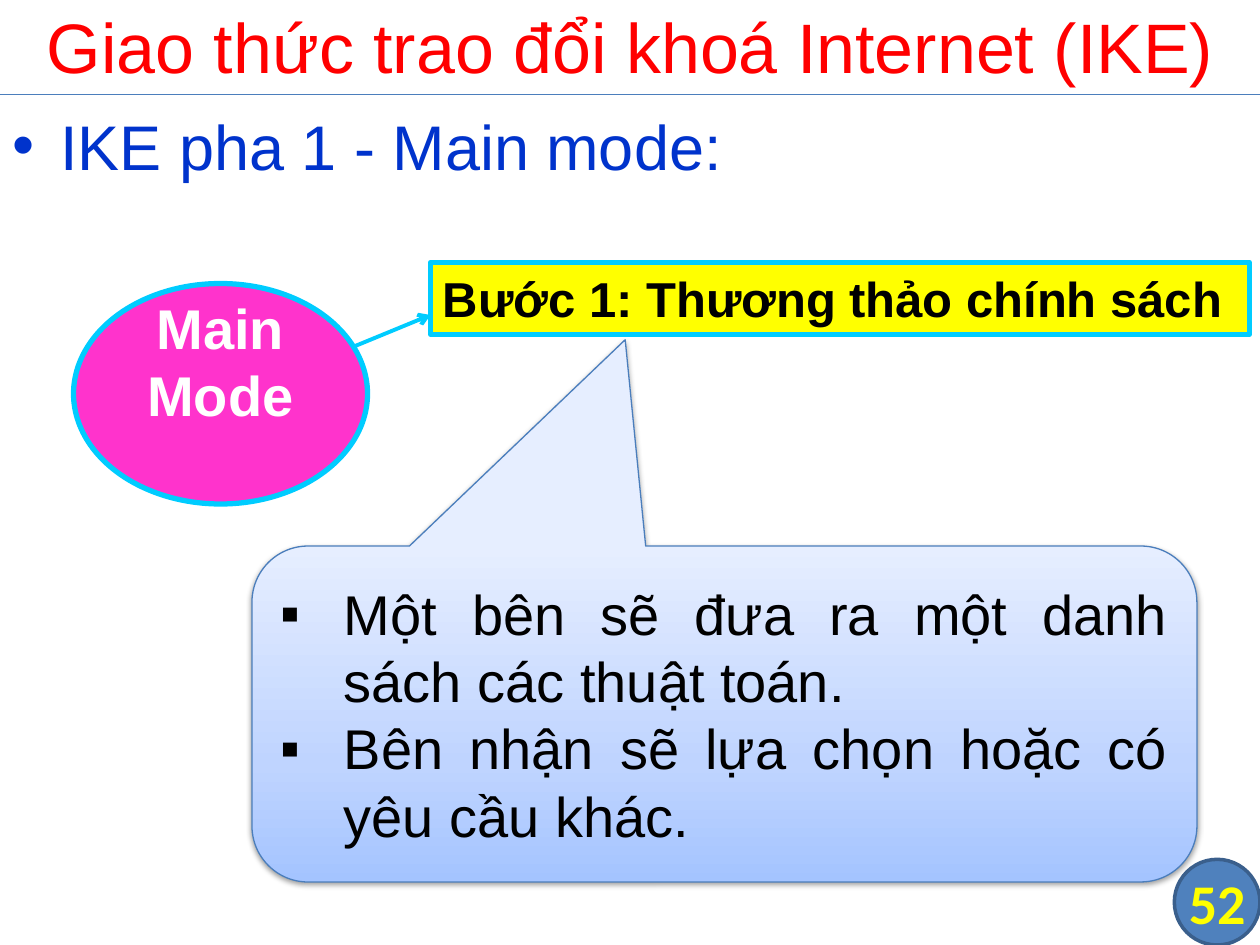
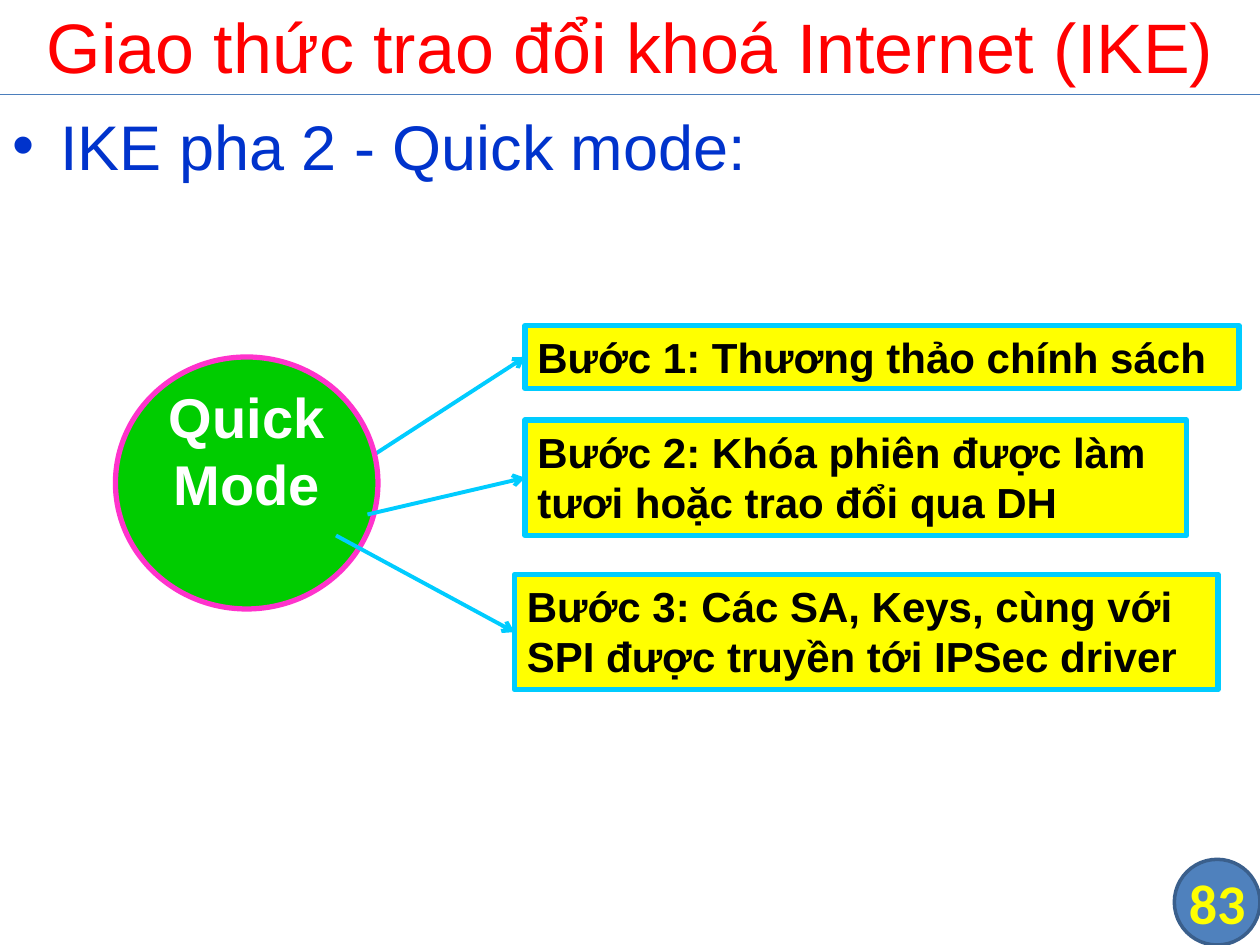
import collections
import copy

import pptx
import pptx.dml.color
import pptx.enum.shapes
import pptx.enum.text
import pptx.oxml
import pptx.oxml.ns
import pptx.util

SHAPE = pptx.enum.shapes.MSO_SHAPE
ANCHOR = pptx.enum.text.MSO_ANCHOR
ALIGN = pptx.enum.text.PP_ALIGN
Box = collections.namedtuple("Box", "left top width height")

COLUMNS, ROWS = 120, 90
CELL = pptx.util.Inches(10) // COLUMNS
PAGE_BOX = Box(0, 0, COLUMNS, ROWS)
HEADER_ROWS = 9

RED, BLUE, YELLOW, CYAN = "FF0000", "0033CC", "FFFF00", "00CCFF"
PINK, GREEN, WHITE, BLACK = "FF33CC", "00CC00", "FFFFFF", "000000"
BADGE_FILL, BADGE_LINE, THIN_LINE = "4F81BD", "3A5F8C", "4B7EBC"
CALLOUT_STOPS = [(0, "A4C4FF"), (0.35, "BFD4FF"), (1, "E6EEFF")]
TITLE = "Giao thức trao đổi khoá Internet (IKE)"


def color(value):
    return pptx.dml.color.RGBColor.from_string(value)


def cells(*counts):
    """Turn counts of grid cells into lengths."""
    return [round(count * CELL) for count in counts]


def within(area, left, top, width=0, height=0):
    return Box(area.left + left, area.top + top, width, height)


def add_element(parent, tag, xml_body="", **attributes):
    """Append a DrawingML element, with optional inner XML."""
    namespace = pptx.oxml.ns.nsdecls("a")
    settings = " ".join(f'{name}="{value}"' for name, value in attributes.items())
    element = pptx.oxml.parse_xml(f"<a:{tag} {namespace} {settings}>{xml_body}</a:{tag}>")
    parent.append(element)
    return element


def write(shape, *texts, size, fill, font="Arial", bold=False, align=ALIGN.LEFT,
          anchor=ANCHOR.TOP, bullet=None, indent=0.0, margins=(0.1, 0.05, 0.1, 0.05)):
    """Fill a shape with one paragraph per text; lengths are in inches."""
    frame = shape.text_frame
    frame.word_wrap = True
    frame.auto_size = pptx.enum.text.MSO_AUTO_SIZE.NONE
    frame.vertical_anchor = anchor
    (frame.margin_left, frame.margin_top,
     frame.margin_right, frame.margin_bottom) = map(pptx.util.Inches, margins)
    for index, text in enumerate(texts):
        para = frame.add_paragraph() if index else frame.paragraphs[0]
        para.alignment = align
        if bullet:
            settings = para._p.get_or_add_pPr()
            settings.set("marL", str(pptx.util.Inches(indent)))
            settings.set("indent", str(-pptx.util.Inches(indent)))
            add_element(settings, "buFont", typeface="Arial")
            add_element(settings, "buChar", char=bullet)
        span = para.add_run()
        span.text = text
        span.font.name, span.font.size = font, pptx.util.Pt(size)
        span.font.bold = bold
        span.font.color.rgb = color(fill)


def add_text(page, box, text, **text_format):
    write(page.shapes.add_textbox(*cells(*box)), text, **text_format)


def add_block(page, kind, box, fill, line, line_width):
    shape = page.shapes.add_shape(kind, *cells(*box))
    shape.fill.solid()
    shape.fill.fore_color.rgb = color(fill)
    shape.line.color.rgb = color(line)
    shape.line.width = pptx.util.Pt(line_width)
    shape.shadow.inherit = False
    return shape


def add_line(page, start, end, line, width, arrow=False):
    connector = page.shapes.add_connector(
        pptx.enum.shapes.MSO_CONNECTOR.STRAIGHT, *cells(*start[:2], *end[:2]))
    connector.line.color.rgb = color(line)
    connector.line.width = pptx.util.Pt(width)
    if arrow:
        add_element(connector.line._get_or_add_ln(), "tailEnd", type="arrow")
    add_element(connector._element.spPr, "effectLst")
    return connector


def add_arrow(page, start, end):
    return add_line(page, start, end, CYAN, 2.25, arrow=True)


def add_arrow_to(page, start, step):
    """Draw an arrow joined to the left side of a step."""
    add_arrow(page, start, start).end_connect(step, 1)


def add_step(page, box, text, size):
    step = add_block(page, SHAPE.RECTANGLE, box, YELLOW, CYAN, 3)
    write(step, text, size=size, fill=BLACK, bold=True)
    return step


def add_hub(page, box, text, fill, line):
    hub = add_block(page, SHAPE.OVAL, box, fill, line, 3)
    write(hub, text, size=32, fill=WHITE, bold=True, align=ALIGN.CENTER,
          anchor=ANCHOR.MIDDLE, margins=(0.1, 0.05, 0.1, 0.58))


def add_callout(page, box, *texts):
    callout = add_block(page, SHAPE.ROUNDED_RECTANGULAR_CALLOUT, box, WHITE, THIN_LINE, 0.75)
    for index, share in enumerate((-0.105, -1.114, 0.167)):
        callout.adjustments[index] = share
    callout.fill.gradient()
    callout.fill.gradient_angle = 90
    stop_list = callout._element.spPr.find(".//" + pptx.oxml.ns.qn("a:gsLst"))
    stop_list.append(copy.deepcopy(stop_list[-1]))
    for stop, (position, value) in zip(callout.fill.gradient_stops, CALLOUT_STOPS):
        stop.position = position
        stop.color.rgb = color(value)
    effects = callout._element.spPr.find(pptx.oxml.ns.qn("a:effectLst"))
    add_element(effects, "outerShdw",
                f'<a:srgbClr val="{BLACK}"><a:alpha val="38000"/></a:srgbClr>',
                blurRad=pptx.util.Pt(3.1), dist=pptx.util.Pt(1.6), dir=5400000, rotWithShape=0)
    write(callout, *texts, size=32, fill=BLACK, align=ALIGN.JUSTIFY,
          anchor=ANCHOR.MIDDLE, bullet="▪", indent=0.5)


def add_badge(page, box, number):
    add_block(page, SHAPE.FLOWCHART_CONNECTOR, box, BADGE_FILL, BADGE_LINE, 2)
    add_text(page, box, number, size=32, fill=YELLOW, font="Calibri", bold=True,
             align=ALIGN.CENTER, anchor=ANCHOR.MIDDLE, margins=(0, 0, 0, 0))


def add_page(deck, box, heading, number):
    """Add a slide with the shared title, rule, heading and number badge."""
    page = deck.slides.add_slide(deck.slide_layouts[5])
    title = page.shapes.title
    title.left, title.top, title.width, title.height = cells(
        *within(box, 0, -0.36, box.width, HEADER_ROWS + 0.36))
    write(title, TITLE, size=40, fill=RED, align=ALIGN.CENTER, anchor=ANCHOR.MIDDLE)
    add_line(page, within(box, 0, HEADER_ROWS), within(box, box.width, HEADER_ROWS),
             THIN_LINE, 0.75)
    add_text(page, within(box, 0, HEADER_ROWS, box.width, box.height - HEADER_ROWS), heading,
             size=36, fill=BLUE, bullet="•", indent=0.38, margins=(0.1, 0.1, 0.1, 0.05))
    side = 8.16
    add_badge(page, within(box, box.width - side, box.height - side, side, side), number)
    return page


def draw_main_mode(page, area):
    add_arrow(page, within(area, 17, 12), within(area, 34, 5))
    add_step(page, within(area, 34, 0, 78, 6.84), "Bước 1: Thương thảo chính sách", 28)
    add_hub(page, within(area, 0, 2, 28, 21), "Main Mode", PINK, CYAN)
    add_callout(page, within(area, 17, 27, 90, 32),
                "Một bên sẽ đưa ra một danh sách các thuật toán.",
                "Bên nhận sẽ lựa chọn hoặc có yêu cầu khác.")


def draw_quick_mode(page, area):
    policy, session_key, driver = [
        add_step(page, within(area, *place), text, 24) for place, text in (
            ((39, 0, 68, 6), "Bước 1: Thương thảo chính sách"),
            ((39, 9, 63, 11), "Bước 2: Khóa phiên được làm tươi hoặc trao đổi qua DH"),
            ((38, 23.7, 67, 11),
             "Bước 3: Các SA, Keys, cùng với SPI được truyền tới IPSec driver"))]
    add_arrow_to(page, within(area, 22, 14), policy)
    add_hub(page, within(area, 0, 3, 25, 24), "Quick Mode", GREEN, PINK)
    add_arrow_to(page, within(area, 24, 18), session_key)
    add_arrow_to(page, within(area, 21, 20), driver)


def main():
    deck = pptx.Presentation()
    deck.slide_width, deck.slide_height = cells(COLUMNS, ROWS)
    main_page = add_page(deck, PAGE_BOX, "IKE pha 1 - Main mode:", "52")
    draw_main_mode(main_page, Box(7, 25, 112, 59))
    quick_page = add_page(deck, PAGE_BOX, "IKE pha 2 - Quick mode:", "83")
    draw_quick_mode(quick_page, Box(11, 31, 107, 35))
    deck.save("out.pptx")


if __name__ == "__main__":
    main()
